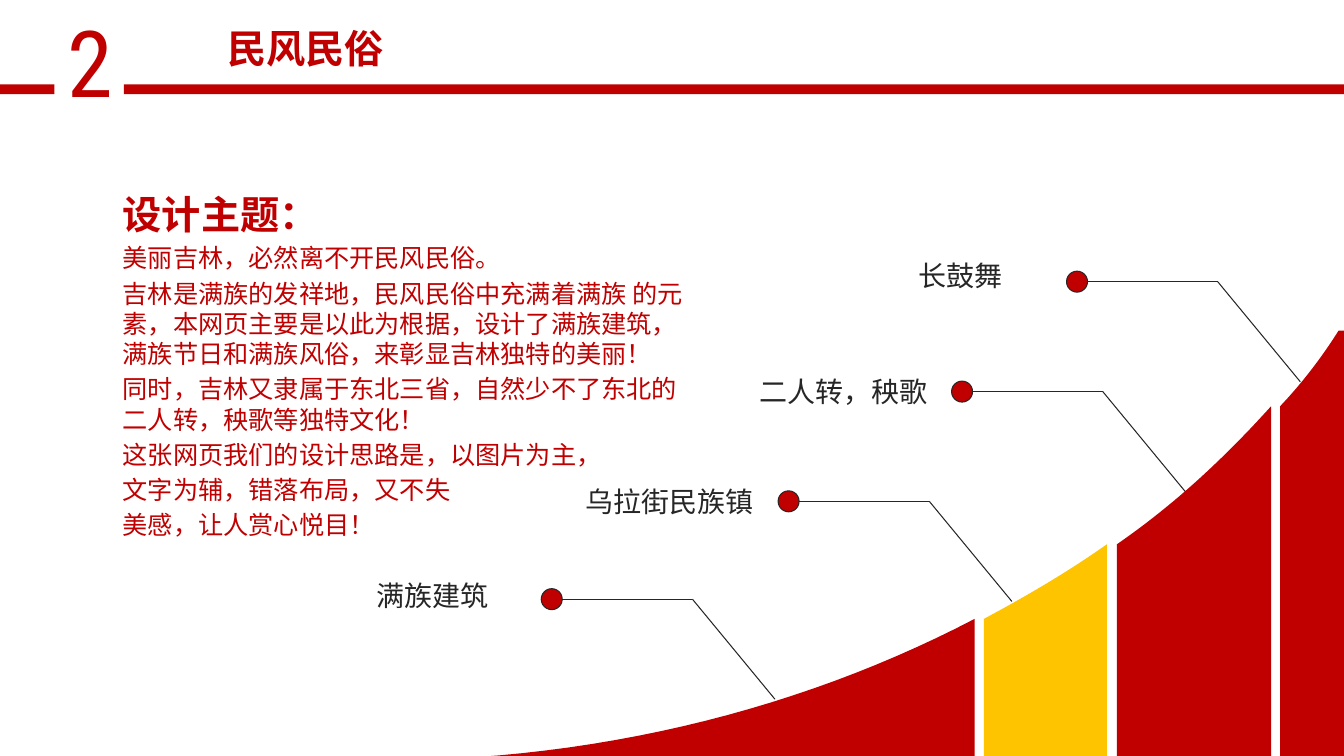
import lxml.etree
import pptx
import pptx.dml.color
import pptx.enum.shapes
import pptx.enum.text
import pptx.oxml.ns
import pptx.util

Pt = pptx.util.Pt
SHAPE = pptx.enum.shapes.MSO_SHAPE
ALIGN = pptx.enum.text.PP_ALIGN

COLORS = {"red": "C00000", "gold": "FFC400", "ink": "262626"}
CJK_FONT = "Noto Sans CJK SC"
FLOOR = 542
CURVE_STEPS = 24

# Colour and top edge of each band, as Bezier control points from right to left
BANDS = [
    ("red", [(696.2, 442.1), (587.5, 499), (459.4, 535), (321.8, 542)]),
    ("gold", [(790.6, 388.8), (763.2, 408.2), (733.7, 425.5), (702.7, 442.1)]),
    ("red", [(907.9, 290.2), (875.5, 326.2), (839.5, 360), (797.8, 388.8)]),
    ("red", [(956.2, 236.2), (943.9, 255.6), (930.2, 273.6), (914.4, 290.2)]),
]
BAND_RIGHTS = [696.2, 790.6, 907.9, 960.5]

# Wording, label corner, dot corner
CALLOUTS = [
    ("满族建筑", (235.4, 409.7), (386.6, 420.5)),
    ("乌拉街民族镇", (404.6, 342.7), (555.8, 350.6)),
    ("二人转，秧歌", (528.5, 264.2), (679.7, 272.2)),
    ("长鼓舞", (612, 181.4), (761.8, 193.7)),
]

THEME_HEADING = "设计主题："
THEME_LINES = [
    "美丽吉林，必然离不开民风民俗。",
    "吉林是满族的发祥地，民风民俗中充满着满族 的元素，本网页主要是以此为根据，设计了满族建筑，满族节日和满族风俗，来彰显吉林独特的美丽！",
    "同时，吉林又隶属于东北三省，自然少不了东北的二人转，秧歌等独特文化！",
    "这张网页我们的设计思路是，以图片为主，",
    "文字为辅，错落布局，又不失",
    "美感，让人赏心悦目！",
]


def rgb(color):
    return pptx.dml.color.RGBColor.from_string(COLORS[color])


def bezier(controls):
    """Sample a cubic curve at equal parameter steps."""
    for step in range(CURVE_STEPS + 1):
        t = step / CURVE_STEPS
        weights = ((1 - t) ** 3, 3 * t * (1 - t) ** 2, 3 * t * t * (1 - t), t ** 3)
        yield tuple(sum(w * point[axis] for w, point in zip(weights, controls))
                    for axis in (0, 1))


class SlideBuilder:
    def __init__(self, slide):
        self.slide = slide
        self.shapes = slide.shapes

    def paint(self, shape, fill, line=None):
        shape.shadow.inherit = False
        shape.fill.solid()
        shape.fill.fore_color.rgb = rgb(fill)
        if line:
            shape.line.color.rgb = rgb(line)
            shape.line.width = Pt(0.75)
        else:
            shape.line.fill.background()

    def shape(self, kind, left, top, width, height, fill, line=None):
        shape = self.shapes.add_shape(kind, Pt(left), Pt(top), Pt(width), Pt(height))
        self.paint(shape, fill, line)

    def line(self, start, end):
        connector = self.shapes.add_connector(
            pptx.enum.shapes.MSO_CONNECTOR.STRAIGHT, *map(Pt, start + end))
        connector.line.color.rgb = rgb("ink")
        connector.line.width = Pt(0.75)
        lxml.etree.SubElement(connector._element.spPr, pptx.oxml.ns.qn("a:effectLst"))

    def band(self, color, right, controls):
        edge = list(bezier(controls))
        corners = [(right, controls[0][1])] + edge + [(edge[-1][0], FLOOR), (right, FLOOR)]
        outline = [(Pt(x), Pt(y)) for x, y in corners]
        builder = self.shapes.build_freeform(*outline[0])
        builder.add_line_segments(outline[1:], close=True)
        self.paint(builder.convert_to_shape(), color)

    def format(self, paragraph, size, color, bold=False, align=ALIGN.LEFT, font=CJK_FONT):
        paragraph.alignment = align
        paragraph.line_spacing = 1.0
        for run in paragraph.runs:
            run.font.size = Pt(size)
            run.font.bold = bold
            run.font.color.rgb = rgb(color)
            run.font.name = font
            east_asian = lxml.etree.SubElement(
                run._r.get_or_add_rPr(), pptx.oxml.ns.qn("a:ea"))
            east_asian.set("typeface", CJK_FONT)

    def text(self, lines, left, top, width, height):
        box = self.shapes.add_textbox(Pt(left), Pt(top), Pt(width), Pt(height))
        box.text_frame.word_wrap = True
        box.text_frame.text = "\n".join(lines)
        return box.text_frame

    def title(self, wording, left, top, width, height):
        title = self.shapes.title
        title.left, title.top, title.width, title.height = map(
            Pt, (left, top, width, height))
        title.text_frame.text = wording
        title.text_frame.vertical_anchor = pptx.enum.text.MSO_ANCHOR.TOP
        title.text_frame.auto_size = pptx.enum.text.MSO_AUTO_SIZE.NONE
        self.format(title.text_frame.paragraphs[0], 28, "red", True, ALIGN.CENTER)

    def callout(self, wording, label, dot):
        x, y = dot
        elbow = (x + 108, y + 7.5)
        self.shape(SHAPE.OVAL, x, y, 15, 15, "red", "ink")
        self.line((x + 167, y + 79), elbow)
        self.line(elbow, (x + 15, y + 7.5))
        frame = self.text([wording], *label, 147.6, 31.5)
        self.format(frame.paragraphs[0], 20, "ink", align=ALIGN.CENTER)


def main():
    deck = pptx.Presentation()
    deck.slide_width, deck.slide_height = Pt(960), Pt(540)
    page = SlideBuilder(deck.slides.add_slide(deck.slide_layouts[5]))

    number = page.text(["2"], 41, 0, 24.5, 87)
    number.margin_right = 0
    page.format(number.paragraphs[0], 66, "red", font="Roboto Condensed")
    page.shape(SHAPE.RECTANGLE, 88.5, 60.3, 872, 7, "red")
    page.shape(SHAPE.RECTANGLE, -2, 60.3, 41, 7, "red")
    page.title("民风民俗", 88.9, 13.7, 258.5, 41)

    for (color, controls), right in zip(BANDS, BAND_RIGHTS):
        page.band(color, right, controls)

    theme = page.text([THEME_HEADING] + THEME_LINES, 80.6, 132.5, 422, 262)
    heading, *body = theme.paragraphs
    page.format(heading, 28, "red", True, font="Arial")
    for paragraph in body:
        page.format(paragraph, 18, "red")
        paragraph.space_before = Pt(3.6)

    for wording, label, dot in CALLOUTS:
        page.callout(wording, label, dot)

    deck.save("out.pptx")


if __name__ == "__main__":
    main()
